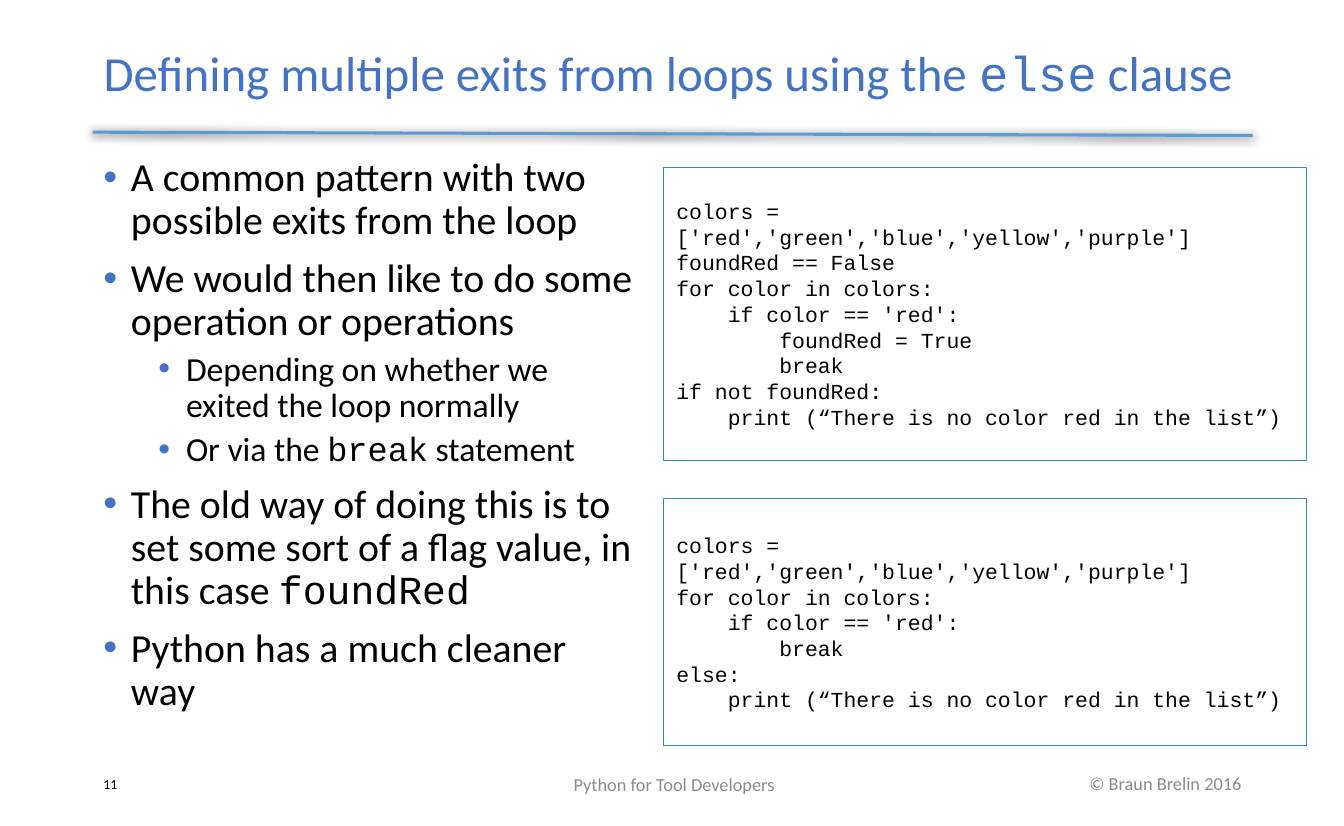
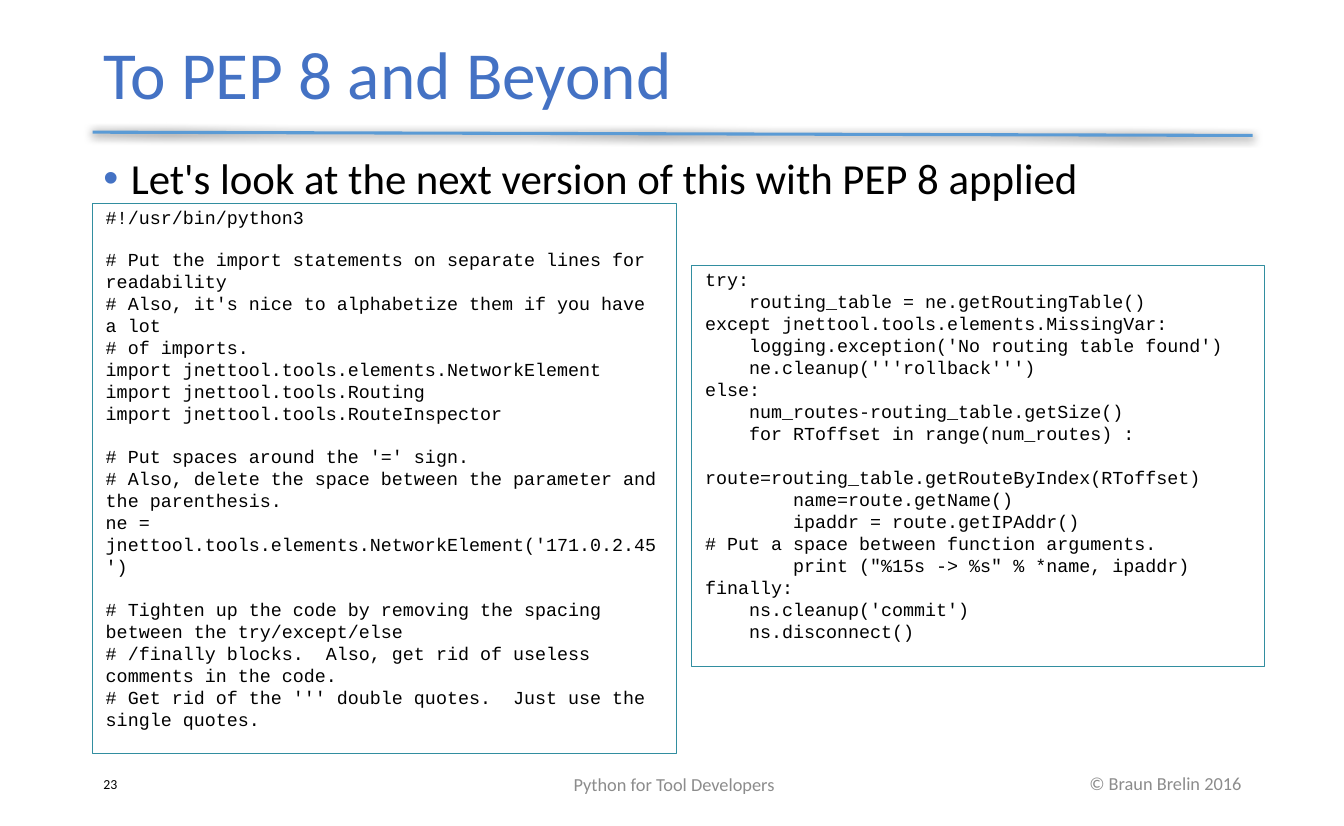
import pptx
import pptx.util
import pptx.dml.color
import pptx.enum.shapes
import pptx.enum.text
import pptx.oxml
import pptx.oxml.ns
import lxml.etree

Inches, Pt = pptx.util.Inches, pptx.util.Pt
ALIGN, ANCHOR = pptx.enum.text.PP_ALIGN, pptx.enum.text.MSO_ANCHOR

COLORS = {"accent": "4472C4", "rule": "5B9BD5", "border": "328EA0",
          "text": "000000", "muted": "8C8C8C", "paper": "FFFFFF"}
SANS, MONO = "Calibri", "Courier New"
LEFT, WIDTH = 0.84, 10.53
CODE_LINE = 1.13

FLAG_CODE = """
colors = ['red','green','blue','yellow','purple']
foundRed == False
for color in colors:
    if color == 'red':
        foundRed = True
        break
if not foundRed:
    print (“There is no color red in the list”)
"""

ELSE_CODE = """
colors = ['red','green','blue','yellow','purple']
for color in colors:
    if color == 'red':
        break
else:
    print (“There is no color red in the list”)
"""

IMPORT_CODE = """
#!/usr/bin/python3

# Put the import statements on separate lines for readability
# Also, it's nice to alphabetize them if you have a lot
# of imports.
import jnettool.tools.elements.NetworkElement
import jnettool.tools.Routing
import jnettool.tools.RouteInspector

# Put spaces around the '=' sign.
# Also, delete the space between the parameter and the parenthesis.
ne = jnettool.tools.elements.NetworkElement('171.0.2.45')

# Tighten up the code by removing the spacing between the try/except/else
# /finally blocks.  Also, get rid of useless comments in the code.
# Get rid of the ''' double quotes.  Just use the single quotes.
"""

TRY_CODE = """
try:
    routing_table = ne.getRoutingTable()
except jnettool.tools.elements.MissingVar:
    logging.exception('No routing table found')
    ne.cleanup('''rollback''')
else:
    num_routes-routing_table.getSize()
    for RToffset in range(num_routes) :
        route=routing_table.getRouteByIndex(RToffset)
        name=route.getName()
        ipaddr = route.getIPAddr()
# Put a space between function arguments.
        print ("%15s -> %s" % *name, ipaddr)
finally:
    ns.cleanup('commit')
    ns.disconnect()
"""

SLIDES = [
    {"number": "11", "title": "Defining multiple exits from loops using the `else` clause",
     "title_top": 0.19, "title_size": 32, "body_width": 5.01,
     "bullets": [
         (0, 26, "A common pattern with two possible exits from the loop"),
         (0, 26, "We would then like to do some operation or operations"),
         (1, 22, "Depending on whether we exited the loop normally"),
         (1, 22, "Or via the `break` statement"),
         (0, 26, "The old way of doing this is to set some sort of a flag value, "
                 "in this case `foundRed`"),
         (0, 26, "Python has a much cleaner way")],
     "code_size": 14, "bottom_inset": 0.06,
     "code": [((6.02, 1.52, 5.84, 2.66), FLAG_CODE),
              ((6.02, 4.53, 5.84, 2.24), ELSE_CODE)]},
    {"number": "23", "title": "To PEP 8 and Beyond",
     "title_top": 0.21, "title_size": 44, "body_width": WIDTH,
     "bullets": [(0, 28, "Let's look at the next version of this with PEP 8 applied")],
     "code_size": 12, "bottom_inset": 0.25,
     "code": [((LEFT, 1.85, 5.3, 4.99), IMPORT_CODE),
              ((6.28, 2.41, 5.2, 3.64), TRY_CODE)]},
]

FOOTERS = [
    ((9.63, 6.91, 1.74, 0.4), "© Braun Brelin 2016", ALIGN.RIGHT),
    ((3.96, 6.91, 4.32, 0.42), "Python for Tool Developers", ALIGN.CENTER),
]


def rgb(name):
    return pptx.dml.color.RGBColor.from_string(COLORS[name])


def box(at):
    return [Inches(v) for v in at]


def write(p, text, size, color, font=SANS):
    r = p.add_run()
    r.text = text
    r.font.name, r.font.size = font, Pt(size)
    r.font.color.rgb = rgb(color)


def write_mixed(p, text, size, color):
    for i, part in enumerate(text.split("`")):
        if part:
            write(p, part, size, color, MONO if i % 2 else SANS)
    p.line_spacing = 0.9


def paragraphs(tf, count):
    return [tf.paragraphs[0]] + [tf.add_paragraph() for _ in range(count - 1)]


def add_text(s, at):
    tf = s.shapes.add_textbox(*box(at)).text_frame
    tf.word_wrap = True
    return tf


def add_title(s, text, top, size):
    sp = s.shapes.title
    sp.left, sp.top, sp.width, sp.height = box((LEFT, top, WIDTH, 0.99))
    tf = sp.text_frame
    tf.auto_size = pptx.enum.text.MSO_AUTO_SIZE.NONE
    tf.vertical_anchor = ANCHOR.MIDDLE
    p = tf.paragraphs[0]
    p.alignment = ALIGN.LEFT
    write_mixed(p, text, size, "accent")


def add_rule(s):
    line = s.shapes.add_connector(pptx.enum.shapes.MSO_CONNECTOR.STRAIGHT,
                                  *box((LEFT, 1.2, LEFT + WIDTH, 1.23)))
    line.line.color.rgb = rgb("rule")
    line.line.width = Pt(2)
    line._element.spPr.append(pptx.oxml.parse_xml(
        f'<a:effectLst {pptx.oxml.ns.nsdecls("a")}>'
        f'<a:outerShdw blurRad="{Pt(6)}" dist="{Pt(1)}" dir="5400000" rotWithShape="0">'
        f'<a:srgbClr val="{COLORS["text"]}"><a:alpha val="67000"/></a:srgbClr>'
        '</a:outerShdw></a:effectLst>'))


def add_bullets(s, bullets, width):
    tf = add_text(s, (LEFT, 1.38, width, 5.38))
    for p, (level, size, text) in zip(paragraphs(tf, len(bullets)), bullets):
        p.level = level
        write_mixed(p, text, size, "text")
        p.space_before = Pt(5 if level else 10)
        pPr = p._p.get_or_add_pPr()
        pPr.set("marL", str(Inches(0.25 + 0.5 * level)))
        pPr.set("indent", str(Inches(-0.25)))
        qn = pptx.oxml.ns.qn
        clr = lxml.etree.SubElement(pPr, qn("a:buClr"))
        lxml.etree.SubElement(clr, qn("a:srgbClr"), val=COLORS["accent"])
        lxml.etree.SubElement(pPr, qn("a:buFont"), typeface="Arial")
        lxml.etree.SubElement(pPr, qn("a:buChar"), char="•")


def add_code(s, at, code, size, bottom_inset):
    sp = s.shapes.add_shape(pptx.enum.shapes.MSO_SHAPE.RECTANGLE, *box(at))
    sp.shadow.inherit = False
    sp.fill.solid()
    sp.fill.fore_color.rgb = rgb("paper")
    sp.line.color.rgb = rgb("border")
    sp.line.width = Pt(0.75)
    tf = sp.text_frame
    tf.word_wrap = True
    tf.vertical_anchor = ANCHOR.MIDDLE
    tf.margin_left = tf.margin_right = Inches(0.12)
    tf.margin_top, tf.margin_bottom = Inches(0.06), Inches(bottom_inset)
    lines = code.strip("\n").split("\n")
    shown = [(i, line) for i, line in enumerate(lines) if line]
    for p, (i, line) in zip(paragraphs(tf, len(shown)), shown):
        p.alignment = ALIGN.LEFT
        if i and not lines[i - 1]:
            p.space_before = Pt(size * CODE_LINE)
        write(p, line, size, "text", MONO)


def add_footers(s, number):
    for at, text, align in FOOTERS:
        tf = add_text(s, at)
        tf.vertical_anchor = ANCHOR.MIDDLE
        tf.paragraphs[0].alignment = align
        write(tf.paragraphs[0], text, 12, "muted")
    tf = add_text(s, (LEFT, 6.99, 0.7, 0.25))
    write(tf.paragraphs[0], number, 9, "text")


prs = pptx.Presentation()
prs.slide_width, prs.slide_height = Inches(12.2), Inches(7.5)
for data in SLIDES:
    s = prs.slides.add_slide(prs.slide_layouts[5])
    add_title(s, data["title"], data["title_top"], data["title_size"])
    add_rule(s)
    add_bullets(s, data["bullets"], data["body_width"])
    for at, code in data["code"]:
        add_code(s, at, code, data["code_size"], data["bottom_inset"])
    add_footers(s, data["number"])
prs.save("out.pptx")
